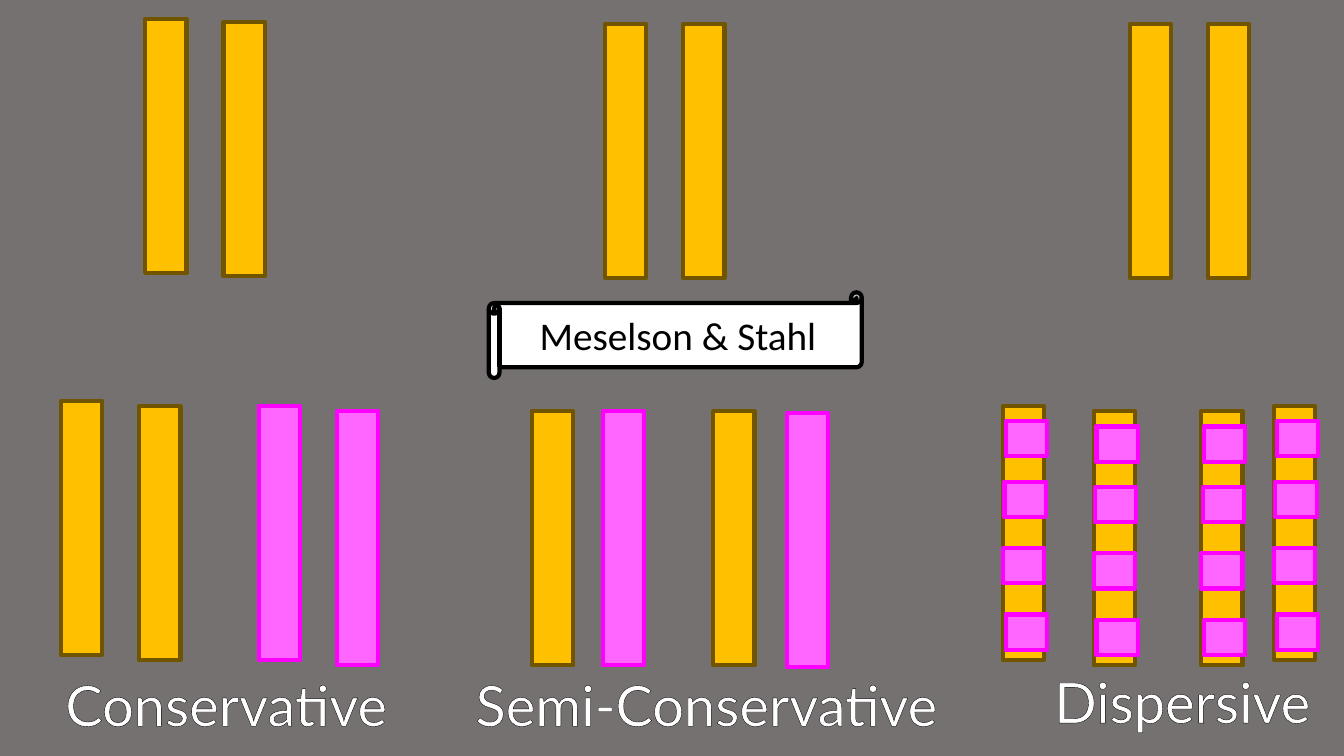
"""Slide comparing three models of DNA replication around the Meselson & Stahl banner."""
from lxml import etree
from pptx import Presentation
from pptx import util as u
from pptx.dml.color import RGBColor
from pptx.enum import shapes, text
from pptx.oxml.ns import qn

THEME = {
    "background": "767171",
    "old": {"fill": "FFC000", "line": "705400"},
    "new": {"fill": "FF66FF", "line": "FF00FF"},
    "banner": {"fill": "FFFFFF", "line": "000000"},
    "line_width": 3,
    "banner_font": {"name": "Calibri", "size": u.Pt(28)},
    "banner_color": "000000",
    "label_font": {"name": "Lato", "size": u.Pt(40)},
    "label_color": "FFFFFF",
    "label_outline": ("000000", 0.75),
}
SLIDE_SIZE = (960, 540)
STRAND_SIZE = (29.5, 181.4)
SEGMENT_SIZE = (29.5, 25.2)
SEGMENT_OFFSETS = [(2, 10.8), (1, 54), (0, 101.4), (2, 149)]

MODELS = [
    {
        "label": ("Conservative", (39.6, 475.2, 260, 55.4)),
        "parents": [(103.7, 13.5), (159.6, 15.6)],
        "daughters": [("old", 43.6, 286.2), ("old", 99.5, 290),
                      ("new", 184.8, 290), ("new", 240.6, 293.8)],
        "mixed": [],
    },
    {
        "label": ("Semi-Conservative", (332.6, 475.2, 358.6, 55.4)),
        "parents": [(432.2, 17.3), (488.1, 17.3)],
        "daughters": [("old", 380, 293.8), ("old", 509.5, 293.8),
                      ("new", 430.6, 293.8), ("new", 562.2, 295.2)],
        "mixed": [],
    },
    {
        "label": ("Dispersive", (745.9, 473, 214, 55.4)),
        "parents": [(807, 17.3), (862.8, 17.3)],
        "daughters": [],
        "mixed": [(716.5, 290), (781.2, 293.8), (858, 293.8), (910, 290)],
    },
]
BANNER = ("Meselson & Stahl", (349.2, 208.8, 266.4, 61.2))


def apply(target, values):
    for name, value in values.items():
        setattr(target, name, value)


def rgb(color):
    return RGBColor.from_string(color)


def add_figure(container, preset, box, style):
    figure = container.add_shape(preset, *map(u.Pt, box))
    figure.shadow.inherit = False
    figure.fill.solid()
    figure.fill.fore_color.rgb = rgb(THEME[style]["fill"])
    figure.line.color.rgb = rgb(THEME[style]["line"])
    figure.line.width = u.Pt(THEME["line_width"])
    return figure


def add_strand(container, x, y, style, size=STRAND_SIZE):
    add_figure(container, shapes.MSO_SHAPE.RECTANGLE, (x, y, *size), style)


def add_mixed_strand(container, x, y):
    group = container.add_group_shape().shapes
    add_strand(group, x, y, "old")
    for dx, dy in SEGMENT_OFFSETS:
        add_strand(group, x + dx, y + dy, "new", SEGMENT_SIZE)


def write(frame, wording, font, color):
    run = frame.paragraphs[0].add_run()
    run.text = wording
    apply(run.font, font)
    run.font.color.rgb = rgb(color)
    return run


def outline(run, color, width):
    edge = etree.Element(qn("a:ln"), w=str(int(u.Pt(width))))
    paint = etree.SubElement(edge, qn("a:solidFill"))
    etree.SubElement(paint, qn("a:srgbClr"), val=color)
    run.font._element.insert(0, edge)


def add_label(container, wording, box):
    frame = container.add_textbox(*map(u.Pt, box)).text_frame
    apply(frame, {"word_wrap": True, "auto_size": text.MSO_AUTO_SIZE.SHAPE_TO_FIT_TEXT})
    run = write(frame, wording, THEME["label_font"], THEME["label_color"])
    outline(run, *THEME["label_outline"])


def add_banner(container, wording, box):
    scroll = add_figure(container, shapes.MSO_SHAPE.HORIZONTAL_SCROLL, box, "banner")
    frame = scroll.text_frame
    apply(frame, {"word_wrap": True, "vertical_anchor": text.MSO_ANCHOR.MIDDLE})
    frame.paragraphs[0].alignment = text.PP_ALIGN.CENTER
    write(frame, wording, THEME["banner_font"], THEME["banner_color"])


def main():
    deck = Presentation()
    deck.slide_width, deck.slide_height = map(u.Pt, SLIDE_SIZE)
    slide = deck.slides.add_slide(deck.slide_layouts[6])
    slide.background.fill.solid()
    slide.background.fill.fore_color.rgb = rgb(THEME["background"])
    for model in MODELS:
        for x, y in model["parents"]:
            add_strand(slide.shapes, x, y, "old")
        for style, x, y in model["daughters"]:
            add_strand(slide.shapes, x, y, style)
        for x, y in model["mixed"]:
            add_mixed_strand(slide.shapes, x, y)
        add_label(slide.shapes, *model["label"])
    add_banner(slide.shapes, *BANNER)
    deck.save("out.pptx")


if __name__ == "__main__":
    main()
